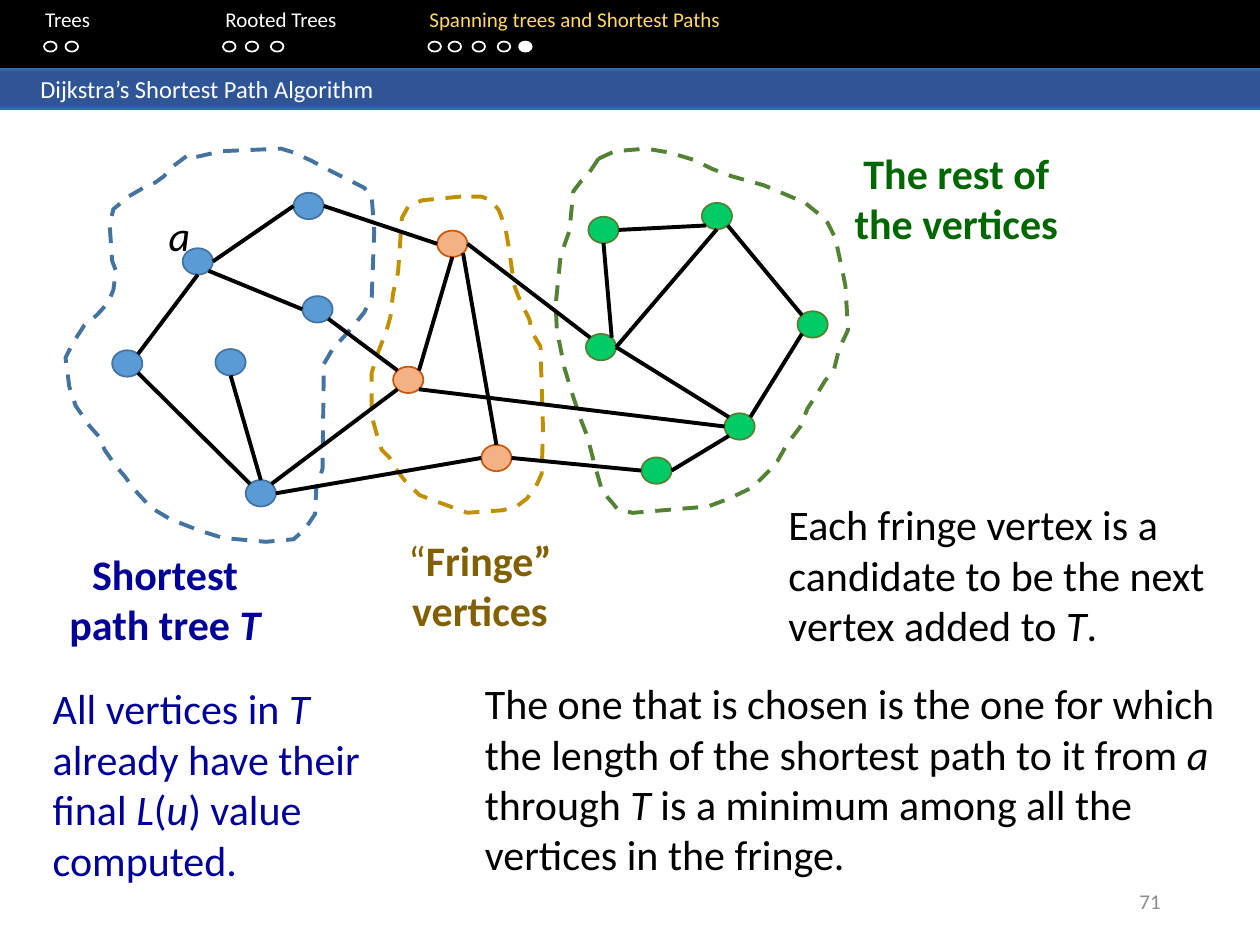
from copy import deepcopy

from lxml.etree import SubElement
from pptx import Presentation
from pptx.dml.color import RGBColor
from pptx.enum.dml import MSO_LINE
from pptx.enum.shapes import MSO_CONNECTOR, MSO_SHAPE
from pptx.enum.text import MSO_ANCHOR, MSO_AUTO_SIZE, PP_ALIGN
from pptx.oxml.ns import qn
from pptx.util import Inches, Pt

BLACK = RGBColor(0x00, 0x00, 0x00)
WHITE = RGBColor(0xFF, 0xFF, 0xFF)
GRAY = RGBColor(0x8C, 0x8C, 0x8C)
YELLOW = RGBColor(0xFF, 0xD9, 0x66)
BAND_EDGE = RGBColor(0x2E, 0x75, 0xB6)
BAND = RGBColor(0x2F, 0x55, 0x97)
NAVY = RGBColor(0x00, 0x00, 0x99)
BROWN = RGBColor(0x80, 0x60, 0x00)
DARK_GREEN = RGBColor(0x00, 0x66, 0x00)
BLUE = RGBColor(0x5B, 0x9B, 0xD5)
BLUE_LINE = RGBColor(0x43, 0x73, 0x9E)
ORANGE = RGBColor(0xF4, 0xB1, 0x83)
ORANGE_LINE = RGBColor(0xC5, 0x5A, 0x11)
GOLD = RGBColor(0xBF, 0x90, 0x00)
GREEN = RGBColor(0x00, 0xCC, 0x66)
GREEN_LINE = RGBColor(0x54, 0x82, 0x35)

VERTEX_W, VERTEX_H = 0.24, 0.21

# Left and top of each vertex, by group
TREE = {"a": (1.45, 1.97), "left": (0.89, 2.78), "low": (1.95, 3.81),
        "top": (2.33, 1.53), "inner": (1.71, 2.77), "mid": (2.4, 2.35)}
FRINGE = {"f1": (3.47, 1.83), "f2": (3.12, 2.91), "f3": (3.82, 3.53)}
REST = {"r1": (4.67, 1.72), "r2": (4.65, 2.65), "r3": (5.09, 3.63),
        "r4": (5.57, 1.61), "r5": (6.33, 2.47), "r6": (5.75, 3.28)}
VERTICES = {**TREE, **FRINGE, **REST}

# Each edge joins two vertices at compass points on their rims
EDGES = """
left NE a S, left SE low NW, inner S low N, a SE mid W, a E top W,
low E f3 W, low NE f2 SW, top E f1 W, mid SE f2 NW, f2 NE f1 S, f1 SE f3 N,
f3 E r3 W, f1 E r2 NW, r2 NE r1 S, r1 E r4 SW, r2 E r6 NW, r3 E r6 SW,
r2 E r4 S, r5 NW r4 SE, r5 SW r6 NE, f2 SE r6 W
"""

# Outlines of the three groups
TREE_OUTLINE = [
    (1.48, 1.24), (1.36, 1.33), (1.3, 1.4), (1.23, 1.45), (1.14, 1.49),
    (1.02, 1.56), (0.9, 1.66), (0.87, 1.78), (0.89, 2.07), (0.92, 2.15),
    (0.9, 2.3), (0.86, 2.4), (0.77, 2.5), (0.67, 2.58), (0.58, 2.72),
    (0.52, 2.84), (0.55, 3.07), (0.6, 3.22), (0.71, 3.38), (0.79, 3.47),
    (0.83, 3.57), (0.92, 3.7), (0.99, 3.78), (1.07, 3.89), (1.2, 4.03),
    (1.35, 4.12), (1.58, 4.21), (1.77, 4.27), (2.11, 4.3), (2.33, 4.28),
    (2.42, 4.2), (2.5, 4.08), (2.51, 3.88), (2.56, 3.72), (2.57, 2.89),
    (2.64, 2.77), (2.75, 2.65), (2.81, 2.58), (2.89, 2.48), (2.95, 2.36),
    (2.97, 1.83), (2.95, 1.56), (2.89, 1.49), (2.69, 1.39), (2.57, 1.33),
    (2.48, 1.28), (2.33, 1.21), (2.23, 1.18), (1.76, 1.2), (1.54, 1.25)]
FRINGE_OUTLINE = [
    (3.66, 1.56), (3.35, 1.59), (3.24, 1.64), (3.19, 1.73), (3.16, 2.16),
    (3.12, 2.33), (3.1, 2.51), (3.07, 2.62), (3, 2.8), (2.95, 2.96),
    (2.95, 3.3), (3, 3.48), (3.03, 3.57), (3.09, 3.63), (3.14, 3.72),
    (3.21, 3.81), (3.33, 3.93), (3.49, 3.99), (3.71, 4.07), (3.99, 4.05),
    (4.1, 4.02), (4.18, 3.96), (4.25, 3.87), (4.3, 3.76), (4.31, 3.4),
    (4.29, 2.75), (4.23, 2.65), (4.2, 2.53), (4.13, 2.39), (4.08, 2.26),
    (4.04, 1.97), (4.01, 1.8), (3.96, 1.67), (3.9, 1.59), (3.82, 1.56)]
REST_OUTLINE = [
    (4.75, 1.26), (4.67, 1.38), (4.61, 1.44), (4.55, 1.52), (4.52, 1.83),
    (4.45, 2.03), (4.41, 2.42), (4.42, 2.62), (4.48, 2.92), (4.55, 3.15),
    (4.61, 3.33), (4.66, 3.46), (4.72, 3.69), (4.78, 3.9), (4.86, 3.99),
    (4.9, 4.04), (5.02, 4.07), (5.62, 4.02), (5.78, 3.96), (5.97, 3.87),
    (6.11, 3.73), (6.17, 3.66), (6.25, 3.52), (6.35, 3.39), (6.41, 3.24),
    (6.47, 3.15), (6.55, 3.02), (6.62, 2.93), (6.66, 2.77), (6.73, 2.62),
    (6.71, 2.27), (6.68, 2.12), (6.63, 1.89), (6.57, 1.77), (6.5, 1.7),
    (6.39, 1.61), (6.25, 1.55), (6.06, 1.47), (5.81, 1.4), (5.65, 1.34),
    (5.51, 1.27), (5.31, 1.21), (5.13, 1.18), (4.88, 1.2)]


def rim_point(name, compass):
    """Point on the rim of a vertex in a compass direction."""
    left, top = VERTICES[name]
    reach = 0.71 if len(compass) == 2 else 1
    across = ("E" in compass) - ("W" in compass)
    down = ("S" in compass) - ("N" in compass)
    return (left + VERTEX_W / 2 * (1 + across * reach),
            top + VERTEX_H / 2 * (1 + down * reach))


class SlideMaker:
    font = "Calibri"

    def __init__(self, deck):
        self.page = deck.slides.add_slide(deck.slide_layouts[5])
        self.shapes = self.page.shapes

    def style(self, span, size, color, marks=""):
        font = span.font
        font.name, font.size, font.color.rgb = self.font, Pt(size), color
        font.bold, font.italic = "b" in marks, "i" in marks

    def title(self, text, *place):
        band = self.shapes.title
        band.left, band.top, band.width, band.height = map(Inches, place)
        band.fill.gradient()
        band.fill.gradient_angle = 270
        stop_list = band._element.spPr.find(".//" + qn("a:gsLst"))
        for stop in list(stop_list):
            stop_list.append(deepcopy(stop))
        colors = [(0, BAND_EDGE), (0.11, BAND), (0.91, BAND), (1, BAND_EDGE)]
        for stop, (position, color) in zip(band.fill.gradient_stops, colors):
            stop.position, stop.color.rgb = position, color
        frame = band.text_frame
        frame.text = text
        frame.auto_size = MSO_AUTO_SIZE.NONE
        frame.vertical_anchor = MSO_ANCHOR.MIDDLE
        frame.margin_left = Inches(0.32)
        para = frame.paragraphs[0]
        para.alignment = PP_ALIGN.LEFT
        self.style(para.runs[0], 14, WHITE)

    def text(self, place, spans, color=BLACK, size=24, align=PP_ALIGN.LEFT,
             anchor=MSO_ANCHOR.TOP, tabs=()):
        """Each span is (text, marks) or (text, marks, color)."""
        frame = self.shapes.add_textbox(*map(Inches, place)).text_frame
        frame.word_wrap = True
        frame.vertical_anchor = anchor
        para = frame.paragraphs[0]
        para.alignment = align
        for words, marks, *own_color in spans:
            span = para.add_run()
            span.text = words
            self.style(span, size, own_color[0] if own_color else color, marks)
        if tabs:
            tab_list = SubElement(para._p.get_or_add_pPr(), qn("a:tabLst"))
            for tab in tabs:
                SubElement(tab_list, qn("a:tab"), pos=str(Inches(tab)), algn="l")

    def shape(self, kind, place, fill=None, line=None):
        shape = self.shapes.add_shape(kind, *map(Inches, place))
        self.paint(shape, fill, line, 1)

    def outline(self, points, color):
        corners = [(Inches(x), Inches(y)) for x, y in points]
        builder = self.shapes.build_freeform(*corners[0])
        builder.add_line_segments(corners[1:], close=True)
        shape = builder.convert_to_shape()
        self.paint(shape, None, color, 2.25)
        shape.line.dash_style = MSO_LINE.DASH

    def paint(self, shape, fill, line, width):
        shape.shadow.inherit = False
        if fill is None:
            shape.fill.background()
        else:
            shape.fill.solid()
            shape.fill.fore_color.rgb = fill
        if line is None:
            shape.line.fill.background()
        else:
            shape.line.color.rgb = line
            shape.line.width = Pt(width)

    def edge(self, start, end):
        edge = self.shapes.add_connector(
            MSO_CONNECTOR.STRAIGHT, *map(Inches, start + end))
        edge.line.color.rgb = BLACK
        edge.line.width = Pt(2.25)
        SubElement(edge._element.spPr, qn("a:effectLst"))


def main():
    deck = Presentation()
    deck.slide_width, deck.slide_height = Inches(10), Inches(7.5)
    maker = SlideMaker(deck)

    # Navigation bar, progress dots and title band
    maker.shape(MSO_SHAPE.RECTANGLE, (0, -0.02, 10, 0.56), BLACK)
    maker.text((0, 0, 10, 0.5),
               [("\tTrees\tRooted Trees\t", ""),
                ("Spanning trees and Shortest Paths", "", YELLOW)],
               WHITE, 12, tabs=(0.26, 1.69, 3.31))
    dots = [0.35, 0.52, 1.77, 1.95, 2.15, 3.4, 3.56, 3.75, 3.95, 4.12]
    for left in dots:
        maker.shape(MSO_SHAPE.OVAL, (left, 0.33, 0.1, 0.08),
                    WHITE if left == dots[-1] else None, WHITE)
    maker.title("Dijkstra’s Shortest Path Algorithm", 0, 0.54, 10, 0.33)

    # Graph: outlines, vertices, edges
    for points, outline_color, group, fill, line in [
            (TREE_OUTLINE, BLUE_LINE, TREE, BLUE, BLUE_LINE),
            (FRINGE_OUTLINE, GOLD, FRINGE, ORANGE, ORANGE_LINE),
            (REST_OUTLINE, GREEN_LINE, REST, GREEN, GREEN_LINE)]:
        maker.outline(points, outline_color)
        for left, top in group.values():
            maker.shape(MSO_SHAPE.OVAL, (left, top, VERTEX_W, VERTEX_H), fill, line)
    for edge in EDGES.split(","):
        start, start_side, end, end_side = edge.split()
        maker.edge(rim_point(start, start_side), rim_point(end, end_side))

    # Labels of the graph
    for place, spans, color in [
            ((1.24, 1.61, 0.36, 0.46), [("a", "i")], BLACK),
            ((0.33, 4.3, 1.96, 0.91),
             [("Shortest path tree ", "b"), ("T", "bi")], NAVY),
            ((2.83, 4.19, 1.96, 0.91),
             [("“", ""), ("Fringe” vertices", "b")], BROWN),
            ((6.57, 1.12, 2.04, 0.91),
             [("The rest of the vertices", "b")], DARK_GREEN)]:
        maker.text(place, spans, color, align=PP_ALIGN.CENTER)

    # Explanations
    maker.text((6.16, 3.91, 3.67, 1.31),
               [("Each fringe vertex is a candidate to be the next vertex added to ", ""),
                ("T", "i"), (".", "")])
    maker.text((3.75, 5.33, 6.2, 1.72),
               [("The one that is chosen is the one for which the length of the "
                 "shortest path to it from ", ""), ("a ", "i"), ("through ", ""),
                ("T ", "i"), ("is a minimum among all the vertices in the fringe.", "")])
    maker.text((0.32, 5.37, 2.71, 1.72),
               [("All vertices in ", ""), ("T", "i"), (" already have their final ", ""),
                ("L", "i"), ("(", ""), ("u", "i"), (") value computed.", "")], NAVY)

    # Page number
    maker.text((7.06, 6.95, 2.25, 0.4), [("71", "")], GRAY, 12,
               PP_ALIGN.RIGHT, MSO_ANCHOR.MIDDLE)
    deck.save("out.pptx")


if __name__ == "__main__":
    main()
